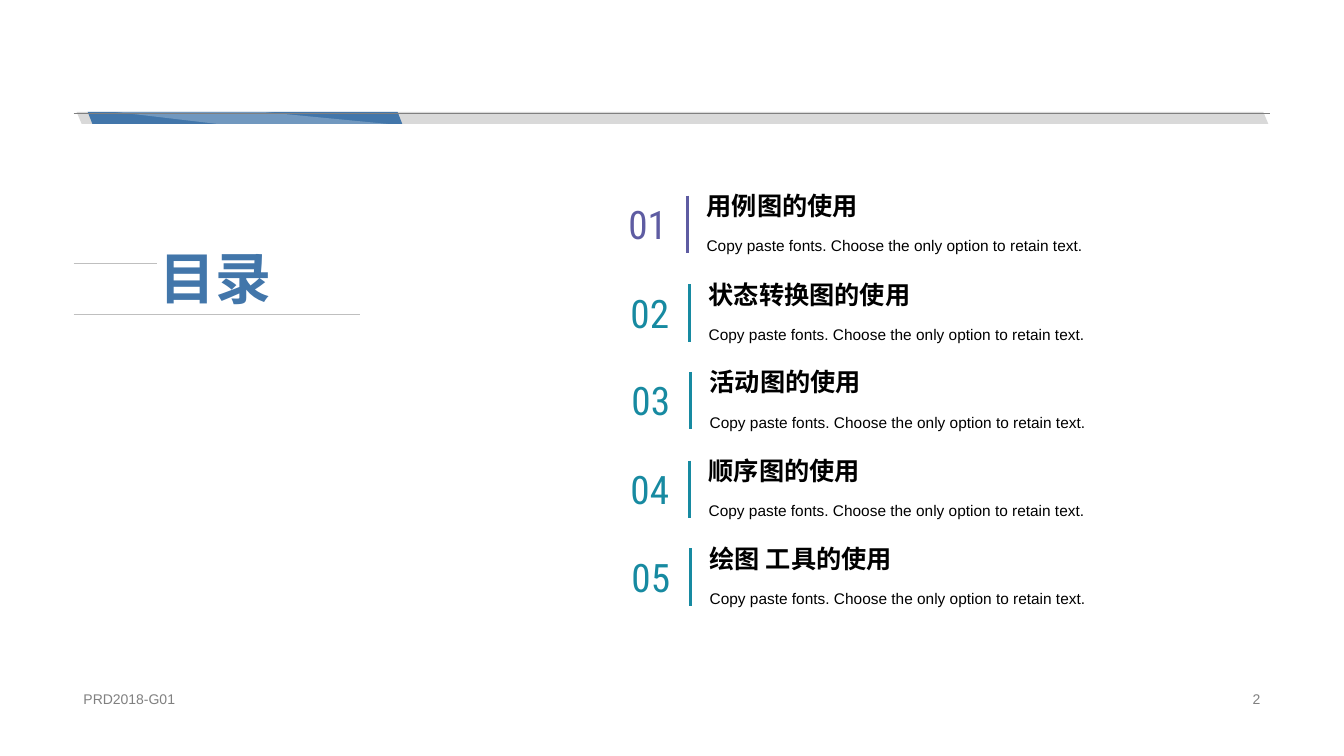
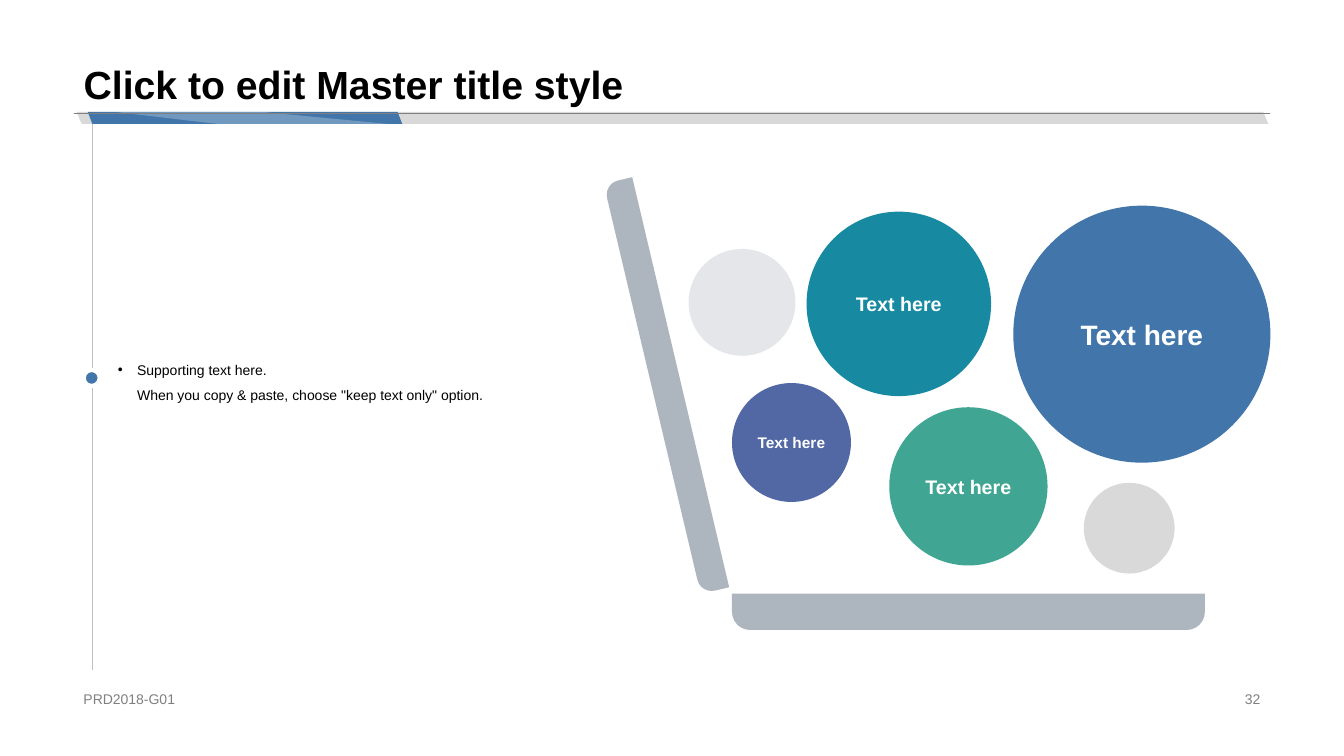
from lxml import etree
from pptx import Presentation
from pptx.dml.color import RGBColor
from pptx.enum.shapes import MSO_CONNECTOR, MSO_SHAPE
from pptx.enum.text import MSO_ANCHOR, MSO_AUTO_SIZE, PP_ALIGN
from pptx.oxml.ns import qn
from pptx.util import Pt

PX = 9144
STRAIGHT = MSO_CONNECTOR.STRAIGHT
OVAL = MSO_SHAPE.OVAL
PARALLELOGRAM = MSO_SHAPE.PARALLELOGRAM
ROUND_TWO = MSO_SHAPE.ROUND_2_SAME_RECTANGLE
TOP, MIDDLE, BOTTOM = MSO_ANCHOR.TOP, MSO_ANCHOR.MIDDLE, MSO_ANCHOR.BOTTOM
LEFT, CENTER, RIGHT = PP_ALIGN.LEFT, PP_ALIGN.CENTER, PP_ALIGN.RIGHT
NO_AUTO_SIZE = MSO_AUTO_SIZE.NONE

WHITE = RGBColor(0xFF, 0xFF, 0xFF)
BLACK = RGBColor(0x00, 0x00, 0x00)
GRAY = RGBColor(0x80, 0x80, 0x80)
RULE_GRAY = RGBColor(0xBF, 0xBF, 0xBF)
LIGHT_GRAY = RGBColor(0xD9, 0xD9, 0xD9)
PALE_GRAY = RGBColor(0xE4, 0xE6, 0xEA)
BAR_GRAY = RGBColor(0xAD, 0xB5, 0xBF)
BLUE = RGBColor(0x42, 0x76, 0xAA)
INDIGO = RGBColor(0x52, 0x68, 0xA5)
PURPLE = RGBColor(0x5E, 0x5C, 0xA2)
TEAL = RGBColor(0x17, 0x8A, 0xA1)
GREEN = RGBColor(0x40, 0xA6, 0x93)

BODY_FONT = "Arial"
NUMBER_FONT = "Roboto Condensed"
TOPIC_NOTE = "Copy paste fonts. Choose the only option to retain text."
TOPICS = [
    ("用例图的使用", PURPLE, 0),
    ("状态转换图的使用", TEAL, 2),
    ("活动图的使用", TEAL, 3),
    ("顺序图的使用", TEAL, 2),
    ("绘图 工具的使用", TEAL, 3),
]
BALLS = [
    (726, 380, 118, INDIGO, "Text here", 11),
    (882, 404, 157, GREEN, "Text here", 14),
    (800, 210, 183, TEAL, "Text here", 14),
    (1005, 204, 255, BLUE, "Text here", 20),
    (1075, 479, 90, LIGHT_GRAY, "", 0),
    (683, 247, 106, PALE_GRAY, "", 0),
]


def emu(*lengths):
    return [length * PX for length in lengths]


def write_text(shape, text, size, color, bold=False, font=BODY_FONT,
               align=LEFT, anchor=MIDDLE, spacing=1.0, wrap=True):
    frame = shape.text_frame
    frame.word_wrap = wrap
    frame.auto_size = NO_AUTO_SIZE
    frame.vertical_anchor = anchor
    para = frame.paragraphs[0]
    para.text = text
    para.alignment = align
    para.line_spacing = spacing
    para.space_before = Pt(0)
    for span in para.runs:
        span.font.name = font
        span.font.size = Pt(size)
        span.font.bold = bold
        span.font.color.rgb = color
    for line_break in shape.element.iter(qn("a:br")):
        etree.SubElement(line_break, qn("a:rPr"), sz=str(size * 100))


def add_text(page, area, text, size, color, **style):
    box = page.shapes.add_textbox(*emu(*area))
    write_text(box, text, size, color, **style)


def fill_placeholder(placeholder, area, text, size, color, **style):
    placeholder.left, placeholder.top, placeholder.width, placeholder.height = emu(*area)
    write_text(placeholder, text, size, color, **style)


def paint(shape, color):
    shape.shadow.inherit = False
    shape.fill.solid()
    shape.fill.fore_color.rgb = color
    shape.line.fill.background()


def add_block(page, kind, area, color, adjustments=()):
    shape = page.shapes.add_shape(kind, *emu(*area))
    paint(shape, color)
    for index, value in enumerate(adjustments):
        shape.adjustments[index] = value
    return shape


def add_line(page, start, end, color, width):
    line = page.shapes.add_connector(STRAIGHT, *emu(*start, *end))
    line.line.color.rgb = color
    line.line.width = Pt(width)
    etree.SubElement(line.element.spPr, qn("a:effectLst"))


def add_slant(page, area, color, slope):
    slant = add_block(page, PARALLELOGRAM, area, color, [slope])
    slant.element.spPr.xfrm.set("flipH", "1")


def add_band(page):
    add_slant(page, (76, 111, 1182, 12), LIGHT_GRAY, 0.42)
    add_slant(page, (87, 111, 312, 12), BLUE, 0.39)
    builder = page.shapes.build_freeform(385, 123, scale=PX)
    builder.add_line_segments([(260, 111), (114, 111), (216, 123)])
    gloss = builder.convert_to_shape()
    paint(gloss, WHITE)
    for tint in gloss.element.spPr.iter(qn("a:srgbClr")):
        etree.SubElement(tint, qn("a:alpha"), val="25000")
    add_line(page, (73, 112), (1260, 112), GRAY, 0.25)


def add_footer(page, number):
    add_text(page, (73, 682, 453, 23), "PRD2018-G01", 10, GRAY)
    add_text(page, (942, 682, 318, 23), number, 10, GRAY, align=RIGHT)


def add_page(deck, layout_index, number):
    page = deck.slides.add_slide(deck.slide_layouts[layout_index])
    add_band(page)
    add_footer(page, number)
    return page


def add_topic(page, index, heading, color, shift):
    top = 194 + (175 * index + 1) // 2
    rule = 682 + shift
    add_text(page, (617 + shift, top + 3, 51, 50), f"{index + 1:02}", 28, color,
             font=NUMBER_FONT, align=CENTER, wrap=False)
    add_line(page, (rule, top), (rule, top + 57), color, 2.25)
    add_text(page, (rule + 9, top + 30, 395, 35), TOPIC_NOTE, 11, BLACK,
             anchor=TOP, spacing=1.3)
    add_text(page, (rule + 9, top - 8, 395, 38), heading, 18, BLACK,
             bold=True, anchor=BOTTOM, spacing=0.9, wrap=False)


def add_contents_page(deck):
    page = add_page(deck, 5, "2")
    fill_placeholder(page.shapes.title, (148, 243, 221, 72), "目录", 40, BLUE,
                     bold=True, spacing=0.9, wrap=False)
    add_line(page, (73, 261), (156, 261), RULE_GRAY, 0.5)
    add_line(page, (73, 312), (357, 312), RULE_GRAY, 0.5)
    for index, topic in enumerate(TOPICS):
        add_topic(page, index, *topic)


def add_ball(page, left, top, diameter, color, label, size):
    ball = add_block(page, OVAL, (left, top, diameter, diameter), color)
    if label:
        write_text(ball, label, size, WHITE, bold=True, align=CENTER, wrap=False)


def add_balls_page(deck):
    page = add_page(deck, 1, "32")
    fill_placeholder(page.shapes.title, (73, 0, 1187, 112),
                     "Click to edit Master title style", 28, BLACK,
                     bold=True, anchor=BOTTOM, spacing=0.9)
    add_block(page, ROUND_TWO, (726, 589, 469, 36), BAR_GRAY, [0, 0.5])
    side = add_block(page, ROUND_TWO, (452, 368, 418, 29), BAR_GRAY, [0, 0.5])
    side.rotation = 76.7
    for ball in BALLS:
        add_ball(page, *ball)

    add_line(page, (91, 123), (91, 665), RULE_GRAY, 0.25)
    body = page.placeholders[1]
    fill_placeholder(body, (107, 332, 467, 87),
                     'Supporting text here.\nWhen you copy & paste, choose "keep text only" option.',
                     10, BLACK, spacing=1.5)
    indent = 19 * PX
    for properties in body.element.iter(qn("a:pPr")):
        properties.set("marL", str(indent))
        properties.set("indent", str(-indent))
    dot = add_block(page, OVAL, (83, 367, 16, 16), BLUE)
    dot.line.color.rgb = WHITE
    dot.line.width = Pt(3)


def main():
    deck = Presentation()
    deck.slide_width, deck.slide_height = emu(1333, 750)
    add_contents_page(deck)
    add_balls_page(deck)
    deck.save("out.pptx")


if __name__ == "__main__":
    main()
